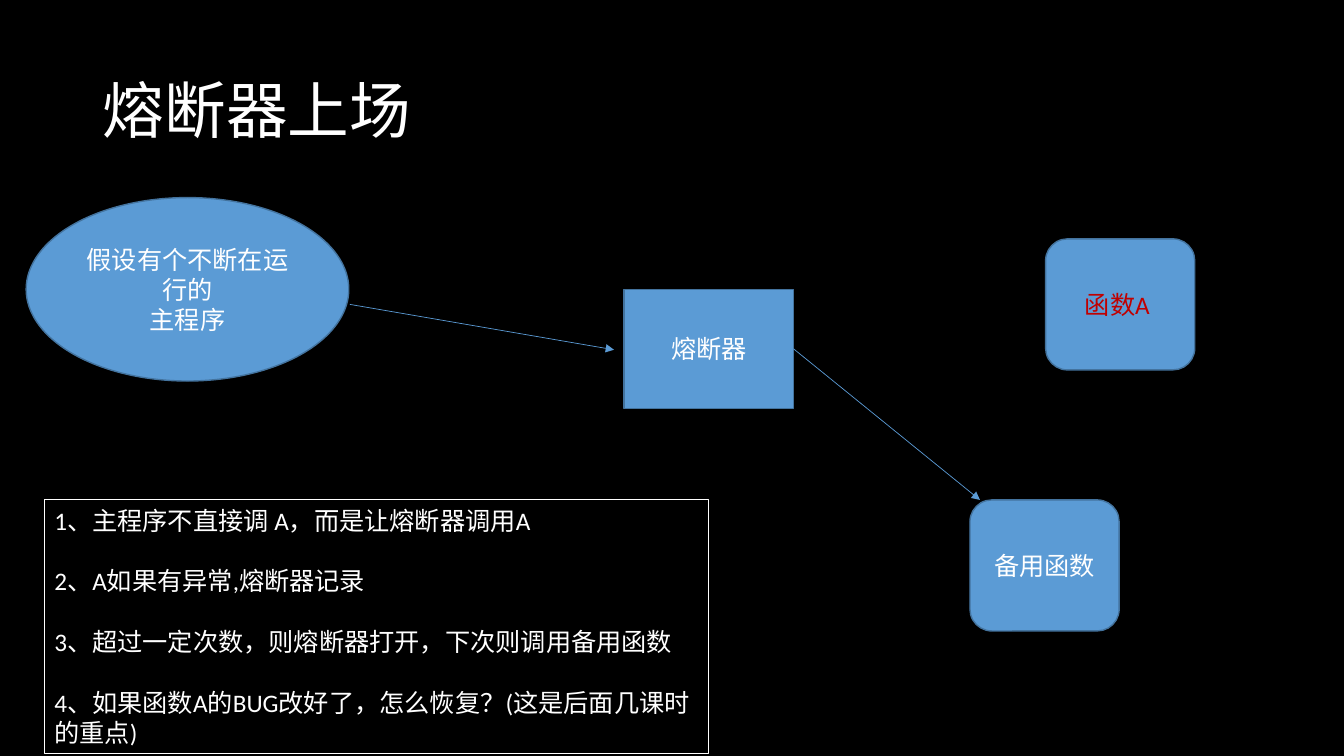
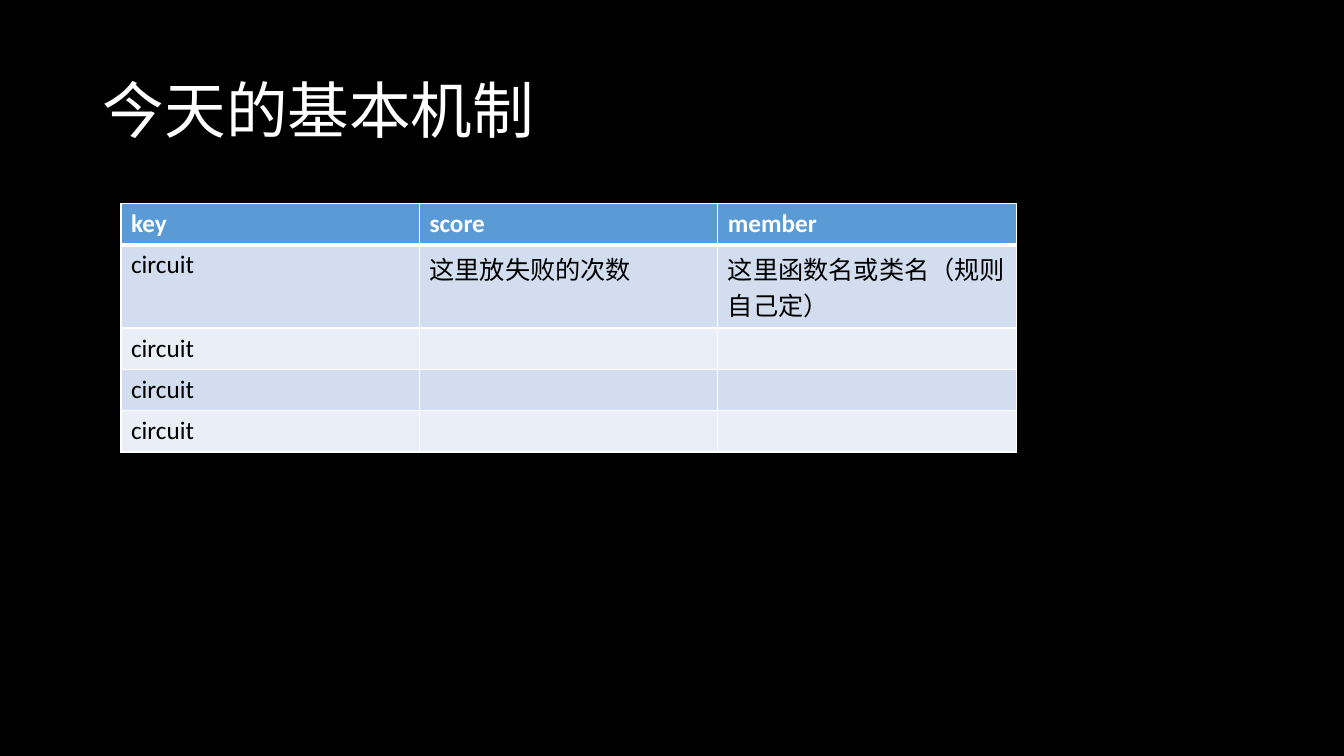
from lxml import etree
from pptx import Presentation
from pptx.dml.color import RGBColor
from pptx.enum import shapes, text
from pptx.oxml import ns
from pptx.util import Inches, Pt

COLORS = {
    "black": "000000", "white": "FFFFFF", "red": "C00000",
    "blue": "5B9BD5", "outline": "43739E",
    "odd_row": "D2DEEF", "even_row": "EAEFF7",
}
FONT = "Calibri"
BODY_SIZE = 18
TITLE_BOX = (0.92, 0.4, 11.5, 1.45)

SHAPE = shapes.MSO_SHAPE
# name: (preset, box, paragraphs, text colour)
NODES = {
    "program": (SHAPE.OVAL, (0.26, 1.96, 3.2, 1.82),
                ["假设有个不断在运行的", "主程序"], "white"),
    "function": (SHAPE.ROUNDED_RECTANGLE, (10.37, 2.37, 1.48, 1.3), ["函数A "], "red"),
    "breaker": (SHAPE.RECTANGLE, (6.19, 2.87, 1.68, 1.18), ["熔断器"], "white"),
    "fallback": (SHAPE.ROUNDED_RECTANGLE, (9.62, 4.96, 1.48, 1.3), ["备用函数"], "white"),
}
NOTES_BOX = (0.44, 4.96, 6.59, 2.52)
NOTES = [
    "1、主程序不直接调 A，而是让熔断器调用A",
    "2、A如果有异常,熔断器记录",
    "3、超过一定次数，则熔断器打开，下次则调用备用函数",
    "4、如果函数A的BUG改好了，怎么恢复？(这是后面几课时的重点)",
]
TABLE_BOX = (1.2, 2.02, 8.88, 2.05)
TABLE_ROWS = [
    ("key", "score", "member"),
    ("circuit", "这里放失败的次数", "这里函数名或类名（规则自己定）"),
    ("circuit", "", ""),
    ("circuit", "", ""),
    ("circuit", "", ""),
]


def rgb(name):
    return RGBColor.from_string(COLORS[name])


def inches(values):
    return [Inches(value) for value in values]


def paint(fill, color):
    fill.solid()
    fill.fore_color.rgb = rgb(color)


def draw_line(line, color, width):
    line.color.rgb = rgb(color)
    line.width = Pt(width)


def write(frame, lines, color, size=BODY_SIZE, align=text.PP_ALIGN.LEFT, bold=False):
    frame.text = "\n".join(lines)
    frame.word_wrap = True
    for para in frame.paragraphs:
        para.alignment = align
        para.font.size = Pt(size)
        for span in para.runs:
            span.font.name = FONT
            span.font.size = Pt(size)
            span.font.bold = bold
            span.font.color.rgb = rgb(color)


def add_page(deck, title):
    page = deck.slides.add_slide(deck.slide_layouts.get_by_name("Title Only"))
    box = page.shapes.title
    box.left, box.top, box.width, box.height = inches(TITLE_BOX)
    write(box.text_frame, [title], "white", 44)
    box.text_frame.vertical_anchor = text.MSO_ANCHOR.MIDDLE
    box.text_frame.paragraphs[0].line_spacing = 0.9
    return page


def add_node(page, preset, box, lines, color):
    node = page.shapes.add_shape(preset, *inches(box))
    node.shadow.inherit = False
    paint(node.fill, "blue")
    draw_line(node.line, "outline", 1)
    write(node.text_frame, lines, color, align=text.PP_ALIGN.CENTER)
    return node


def add_arrow(page, start, end):
    arrow = page.shapes.add_connector(
        shapes.MSO_CONNECTOR.STRAIGHT, *inches(start + end))
    draw_line(arrow.line, "blue", 0.5)
    properties = arrow._element.spPr
    etree.SubElement(properties.find(ns.qn("a:ln")), ns.qn("a:tailEnd"), type="triangle")
    etree.SubElement(properties, ns.qn("a:effectLst"))
    return arrow


def add_notes(page):
    box = page.shapes.add_textbox(*inches(NOTES_BOX))
    draw_line(box.line, "white", 0.75)
    write(box.text_frame, NOTES, "white")
    box.text_frame.auto_size = text.MSO_AUTO_SIZE.SHAPE_TO_FIT_TEXT
    for para in box.text_frame.paragraphs[1:]:
        para.space_before = Pt(21.8)


def add_borders(cell, bottom_width):
    properties = cell._tc.get_or_add_tcPr()
    widths = {"lnL": 1, "lnR": 1, "lnT": 1, "lnB": bottom_width}
    for position, (side, width) in enumerate(widths.items()):
        border = etree.Element(ns.qn(f"a:{side}"), w=str(Pt(width)))
        fill = etree.SubElement(border, ns.qn("a:solidFill"))
        etree.SubElement(fill, ns.qn("a:srgbClr"), val=COLORS["white"])
        properties.insert(position, border)


def add_record_table(page):
    table = page.shapes.add_table(
        len(TABLE_ROWS), len(TABLE_ROWS[0]), *inches(TABLE_BOX)).table
    for r, values in enumerate(TABLE_ROWS):
        header = r == 0
        fill = "blue" if header else ("odd_row" if r % 2 else "even_row")
        for c, value in enumerate(values):
            cell = table.cell(r, c)
            paint(cell.fill, fill)
            write(cell.text_frame, [value], "white" if header else "black", bold=header)
            add_borders(cell, 3 if header else 1)


def main():
    deck = Presentation()
    deck.slide_width, deck.slide_height = inches((13.33, 7.5))
    paint(deck.slide_master.background.fill, "black")

    page = add_page(deck, "熔断器上场")
    nodes = {name: add_node(page, *node) for name, node in NODES.items()}
    add_notes(page)
    add_arrow(page, (3.47, 3.02), (6.09, 3.47))
    to_fallback = add_arrow(page, (7.87, 3.46), (9.72, 4.96))
    to_fallback.begin_connect(nodes["breaker"], 3)

    page = add_page(deck, "今天的基本机制")
    add_record_table(page)

    deck.save("out.pptx")


if __name__ == "__main__":
    main()
